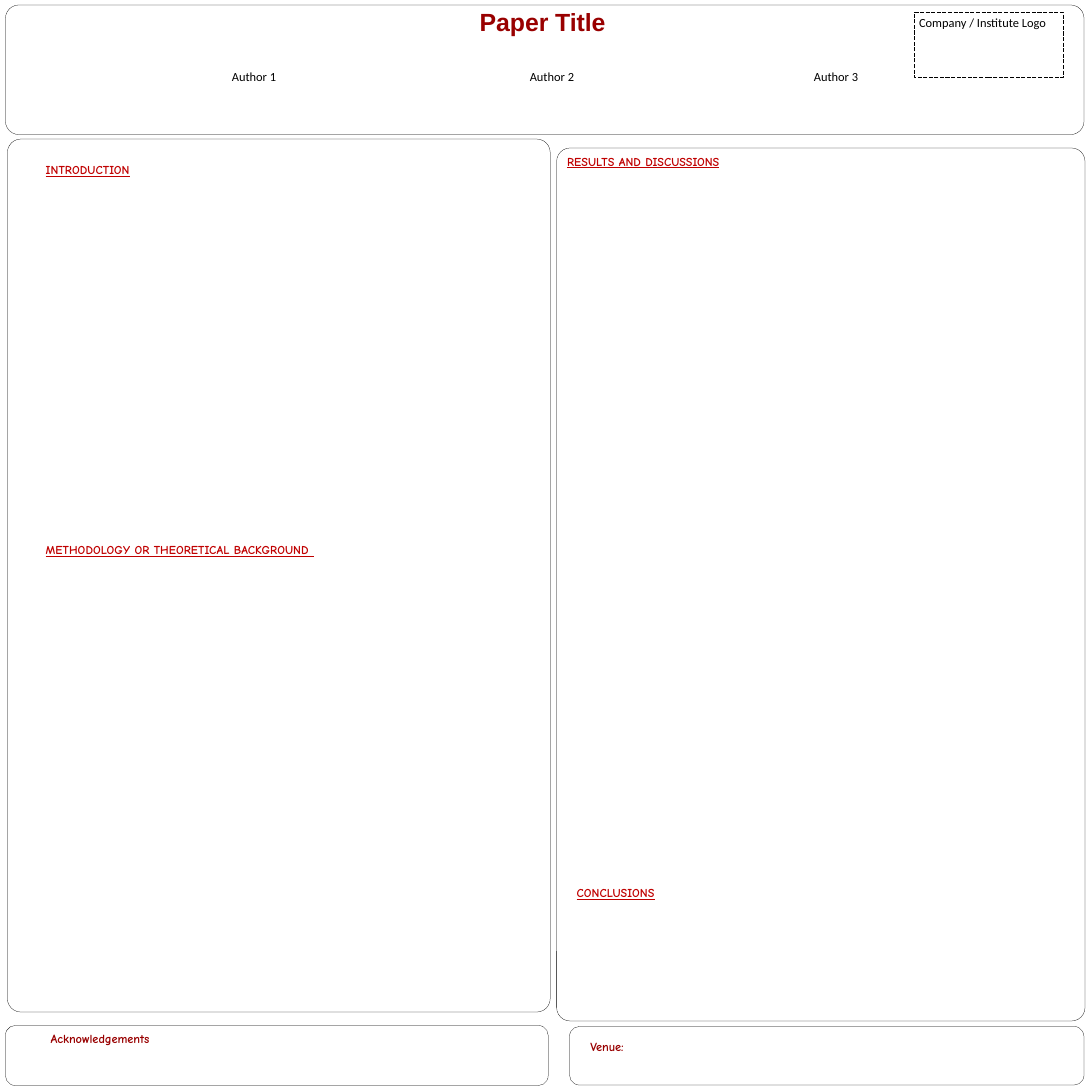
"""Build a blank conference poster with its framed sections."""
from pptx import Presentation
from pptx.dml.color import RGBColor
from pptx.enum.dml import MSO_LINE as Dash
from pptx.enum.shapes import MSO_SHAPE as Shape
from pptx.enum.text import MSO_ANCHOR as Anchor, MSO_AUTO_SIZE as Fit, PP_ALIGN as Align
from pptx.util import Inches, Pt

BLACK = RGBColor(0x00, 0x00, 0x00)
RED = RGBColor(0xC0, 0x00, 0x00)
MAROON = RGBColor(0x99, 0x00, 0x00)
SIDE = 21.99
PAD = (0.1, 0.05, 0.1, 0.05)

PANELS = [
    (11.21, 2.98, 10.64, 17.58, 0.27),
    (0.11, 20.65, 10.93, 1.21, 0.2),
    (0.11, 0.1, 21.72, 2.61, 0.27),
    (0.15, 2.8, 10.93, 17.58, 0.27),
    (11.47, 20.67, 10.36, 1.18, 0.2),
]
HEADS = [
    (11.35, 17.73, 10.28, 0.79, 0.1, 0.26, [("CONCLUSIONS", 0.1)]),
    (11.41, 2.94, 3.99, 0.45, 0.16, 0.01,
     [("RESULTS ", 0.1), ("AND", 0), (" ", -0.7), ("DISCUSSIONS", 0)]),
    (0.91, 10.77, 7.67, 0.45, 0.16, 0.01,
     [("METHODOLOGY OR THEORETICAL BACKGROUND ", 0.1)]),
    (0.91, 3.11, 3.99, 0.45, 0.16, 0.01, [("INTRODUCTION", 0.1)]),
]
AUTHORS = [(4.57, "Author 1"), (10.57, "Author 2"), (16.29, "Author 3")]
NOTES = [(0.91, 20.72, 2.43, "Acknowledgements"), (11.78, 20.88, 1.03, "Venue:")]


def place(box):
    """Turn left, top, width and height into lengths."""
    return [Inches(n) for n in box]


def set_frame(frame, pad=PAD, wrap=True):
    """Set insets and wrapping, and return the first paragraph."""
    frame.auto_size = Fit.NONE
    frame.word_wrap = wrap
    frame.vertical_anchor = Anchor.TOP
    (frame.margin_left, frame.margin_top,
     frame.margin_right, frame.margin_bottom) = place(pad)
    para = frame.paragraphs[0]
    para.alignment = Align.LEFT
    return para


def add_run(para, text, size=18, face="Calibri", color=BLACK, bold=False, line=False, gap=0):
    """Add one run with its font and letter spacing."""
    run = para.add_run()
    run.text = text
    font = run.font
    font.size, font.name, font.bold, font.underline = Pt(size), face, bold, line
    font.color.rgb = color
    if gap:
        run._r.get_or_add_rPr().set("spc", str(round(gap * 100)))


def set_indent(para, indent):
    """Set the left indent of a paragraph."""
    para._p.get_or_add_pPr().set("marL", str(Inches(indent)))


def add_frame(slide, kind, box, weight):
    """Add an unfilled black outline."""
    shape = slide.shapes.add_shape(kind, *place(box))
    shape.shadow.inherit = False
    shape.fill.background()
    shape.line.color.rgb = BLACK
    shape.line.width = Pt(weight)
    return shape


def add_panel(slide, left, top, width, height, radius):
    """Add a panel with rounded corners of a given radius."""
    box = (left, top, width, height)
    panel = add_frame(slide, Shape.ROUNDED_RECTANGLE, box, 0.36)
    panel.adjustments[0] = radius / min(width, height)


def add_title(slide):
    """Move and format the title."""
    title = slide.shapes.title
    title.left, title.top, title.width, title.height = place((6.19, 0.13, 9.61, 0.62))
    para = set_frame(title.text_frame, (0, 0.01, 0, 0))
    para.alignment = Align.CENTER
    add_run(para, "Paper Title ", 36, "Arial", MAROON, bold=True, gap=-0.1)


def add_head(slide, left, top, width, height, inset, indent, parts):
    """Add an underlined section heading."""
    box = slide.shapes.add_textbox(*place((left, top, width, height)))
    para = set_frame(box.text_frame, (0, inset, 0, 0))
    set_indent(para, indent)
    for text, gap in parts:
        add_run(para, text, 17.5, "Comic Neue", RED, bold=True, line=True, gap=gap)


def add_author(slide, left, name):
    """Add an author name."""
    box = slide.shapes.add_textbox(*place((left, 1.34, 2.25, 0.4)))
    add_run(set_frame(box.text_frame), name)


def add_note(slide, left, top, width, text):
    """Add a label to a bottom panel."""
    box = slide.shapes.add_textbox(*place((left, top, width, 0.4)))
    para = set_frame(box.text_frame, wrap=False)
    set_indent(para, 0.01)
    add_run(para, text, 18, "Comic Neue", MAROON, bold=True, gap=-0.1)


def add_logo(slide):
    """Add the dashed box that reserves room for a logo."""
    box = add_frame(slide, Shape.RECTANGLE, (18.41, 0.25, 3, 1.31), 0.75)
    box.line.dash_style = Dash.LONG_DASH
    add_run(set_frame(box.text_frame), "Company / Institute Logo")


def main():
    """Build and save the poster."""
    deck = Presentation()
    deck.slide_width = deck.slide_height = Inches(SIDE)
    slide = deck.slides.add_slide(deck.slide_layouts[5])
    for panel in PANELS:
        add_panel(slide, *panel)
    add_title(slide)
    for head in HEADS:
        add_head(slide, *head)
    for author in AUTHORS:
        add_author(slide, *author)
    for note in NOTES:
        add_note(slide, *note)
    add_logo(slide)
    deck.save("out.pptx")


if __name__ == "__main__":
    main()
